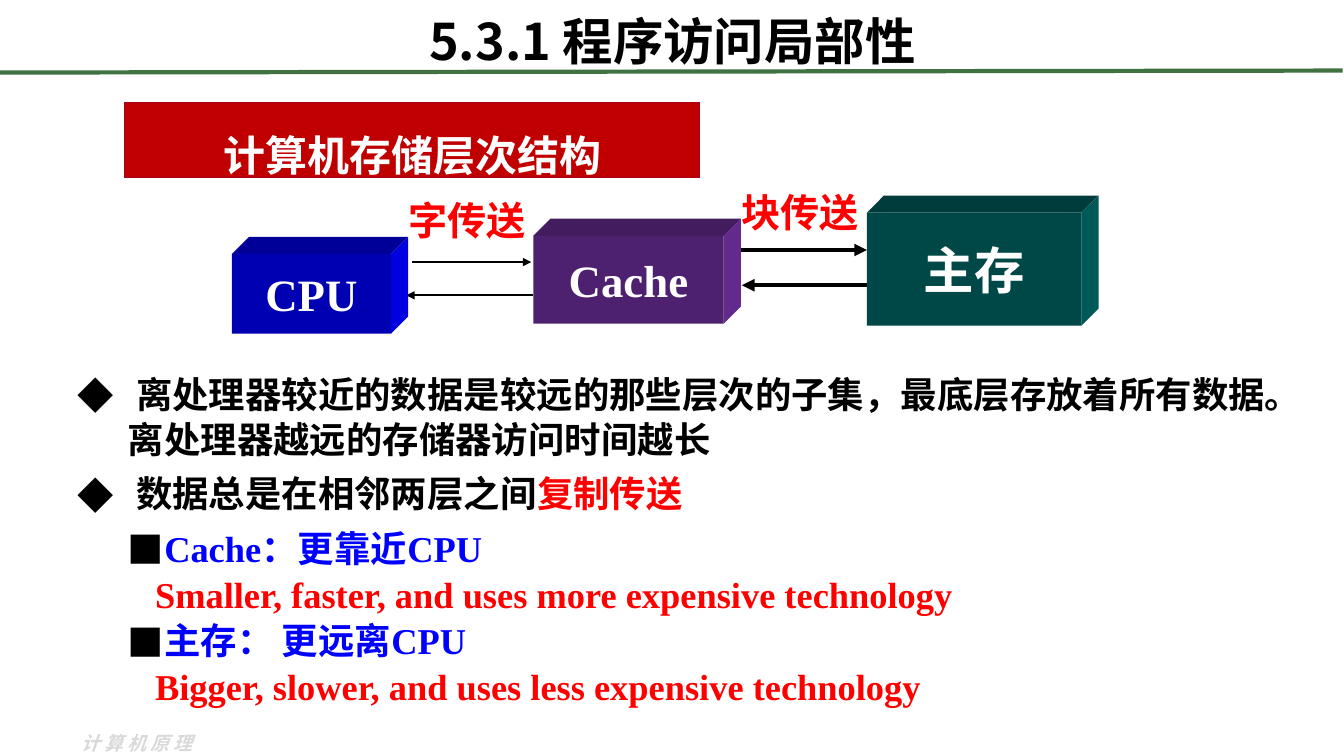
from lxml import etree
from pptx import Presentation
from pptx import util as u
from pptx.dml.color import RGBColor
from pptx.enum import shapes, text
from pptx.oxml.ns import qn

SANS, SERIF = "Noto Sans CJK SC", "Times New Roman"
BLACK, WHITE, RED, BLUE = "000000", "FFFFFF", "FF0000", "0000FF"
CENTER = text.PP_ALIGN.CENTER
MIDDLE = text.MSO_ANCHOR.MIDDLE


def color(value):
    return RGBColor.from_string(value)


def add_xml(parent, tag, **attrs):
    return etree.SubElement(parent, qn(tag), attrs)


class Deck:
    """Lengths are columns and rows of a grid with cells of a tenth of an inch."""
    CELL = u.Inches(0.1)
    COLS, ROWS = 133.33, 75
    DEPTH = 1.7

    def __init__(self):
        self.prs = Presentation()
        self.prs.slide_width = self.at(self.COLS)
        self.prs.slide_height = self.at(self.ROWS)
        self.slide = self.prs.slides.add_slide(self.prs.slide_layouts[6])

    def at(self, cells):
        return u.Emu(round(cells * self.CELL))

    def place(self, *cells):
        return [self.at(c) for c in cells]

    def run(self, p, words, size, fill, font=SANS, **fmt):
        r = p.add_run()
        r.text = words
        for name, value in {"size": u.Pt(size), "name": font, "bold": True, **fmt}.items():
            setattr(r.font, name, value)
        r.font.color.rgb = color(fill)
        add_xml(r.font._element, "a:ea", typeface=SANS)
        return r

    def paragraph(self, p, runs, size, font=SANS, bullet=None, margin=0, indent=0, **fmt):
        for name, value in fmt.items():
            setattr(p, name, value)
        pPr = p._p.get_or_add_pPr()
        pPr.set("marL", str(self.at(margin)))
        pPr.set("indent", str(self.at(indent)))
        if bullet:
            clr = add_xml(pPr, "a:buClr")
            add_xml(clr, "a:srgbClr", val=BLACK)
            add_xml(pPr, "a:buFont", typeface=SANS)
            add_xml(pPr, "a:buChar", char=bullet)
        for words, fill in runs:
            self.run(p, words, size, fill, font)

    def text(self, box, wrap=True, anchor=text.MSO_ANCHOR.TOP):
        tf = self.slide.shapes.add_textbox(*self.place(*box)).text_frame
        tf.word_wrap, tf.vertical_anchor = wrap, anchor
        return tf

    def label(self, box, words, size, fill, font=SANS, **fmt):
        tf = self.text(box, wrap=False)
        self.paragraph(tf.paragraphs[0], [(words, fill)], size, font, **fmt)
        return tf

    def paint(self, sp, fill, line=None):
        sp.shadow.inherit = False
        sp.fill.solid()
        sp.fill.fore_color.rgb = color(fill)
        if line:
            sp.line.color.rgb = color(line)
            sp.line.width = u.Pt(0.75)
        else:
            sp.line.fill.background()

    def rect(self, box, words, size, fill, line=None, font=SANS, **fmt):
        kind = shapes.MSO_SHAPE.RECTANGLE
        sp = self.slide.shapes.add_shape(kind, *self.place(*box))
        self.paint(sp, fill, line)
        tf = sp.text_frame
        tf.vertical_anchor = MIDDLE
        self.paragraph(tf.paragraphs[0], [(words, WHITE)], size, font, alignment=CENTER, **fmt)

    def polygon(self, points, fill):
        start, *rest = [self.place(*pt) for pt in points]
        builder = self.slide.shapes.build_freeform(*start)
        builder.add_line_segments(rest)
        self.paint(builder.convert_to_shape(), fill)

    def block(self, box, words, size, front, top, side):
        """A box seen from the upper right."""
        x, y, w, h = box
        r, b, d = x + w, y + h, self.DEPTH
        self.polygon([(x, y), (x + d, y - d), (r + d, y - d), (r, y)], top)
        self.polygon([(r, y), (r + d, y - d), (r + d, b - d), (r, b)], side)
        self.rect(box, words, size, front, font=SERIF, space_before=u.Pt(1.6))

    def line(self, start, end, width, fill=BLACK, arrow=True):
        kind = shapes.MSO_CONNECTOR.STRAIGHT
        cx = self.slide.shapes.add_connector(kind, *self.place(*start, *end))
        cx.line.color.rgb = color(fill)
        cx.line.width = u.Pt(width)
        if arrow:
            add_xml(cx.line._get_or_add_ln(), "a:tailEnd", type="triangle")
        add_xml(cx._element.spPr, "a:effectLst")


def main():
    deck = Deck()
    footer = deck.text((7.1, 72.1, 14.6, 3.4), wrap=False)
    r = deck.run(footer.paragraphs[0], "计算机原理", 13.5, "D9D9D9", italic=True)
    r.font._element.set("spc", "300")
    deck.line((0, 7.2), (133.2, 7), 3, "3F7141", arrow=False)
    title = deck.text((6.7, -0.3, 120, 8.5), anchor=MIDDLE)
    deck.paragraph(title.paragraphs[0], [("5.3.1 程序访问局部性", BLACK)], 36, alignment=CENTER)
    deck.rect((12.4, 10.2, 57, 7.4), "计算机存储层次结构", 30, "C00000", "A50021",
              line_spacing=1.6, space_before=u.Pt(1.5))

    for start, end, width in [
        ((86.9, 28.3), (73.6, 28.3), 3),
        ((72.6, 24.8), (86, 24.8), 3),
        ((40.9, 26), (52.7, 26), 1.5),
        ((52.9, 29.3), (40.3, 29.3), 1.5),
    ]:
        deck.line(start, end, width)
    for box, words, size, front, top, side in [
        ((23, 25.2, 15.8, 7.9), "CPU", 32, "0000B3", "000099", "0000E0"),
        ((52.9, 23.4, 18.9, 8.7), "Cache", 32, "4E2170", "431C60", "632A8D"),
        ((86, 21.1, 21.3, 11.2), "主存", 36, "004747", "003C3C", "005959"),
    ]:
        deck.block(box, words, size, front, top, side)
    for x, y, words in [(72.6, 18.2, "块传送"), (39.5, 19, "字传送")]:
        deck.label((x, y, 13.8, 5.7), words, 28, RED, SERIF)

    main_point = {"bullet": "◆", "margin": 5, "indent": -5, "space_after": u.Pt(6)}
    level = {"bullet": "■", "margin": 8.1, "indent": -3.1, "font": SERIF}
    detail = {"margin": 7.7, "font": SERIF}
    body = deck.text((6.7, 36.3, 121, 34.4))
    for i, (runs, fmt) in enumerate([
        ([(" 离处理器较近的数据是较远的那些层次的子集，最底层存放着所有数据。"
           "离处理器越远的存储器访问时间越长", BLACK)], main_point),
        ([(" 数据总是在相邻两层之间", BLACK), ("复制传送", RED)], main_point),
        ([("Cache：更靠近CPU", BLUE)], level),
        ([("Smaller, faster, and uses more expensive technology", RED)], detail),
        ([("主存： 更远离CPU", BLUE)], level),
        ([("Bigger, slower, and uses less expensive technology", RED)], detail),
    ]):
        p = body.add_paragraph() if i else body.paragraphs[0]
        deck.paragraph(p, runs, 26, line_spacing=u.Pt(32), space_before=u.Pt(1), **fmt)
    deck.prs.save("out.pptx")


if __name__ == "__main__":
    main()
